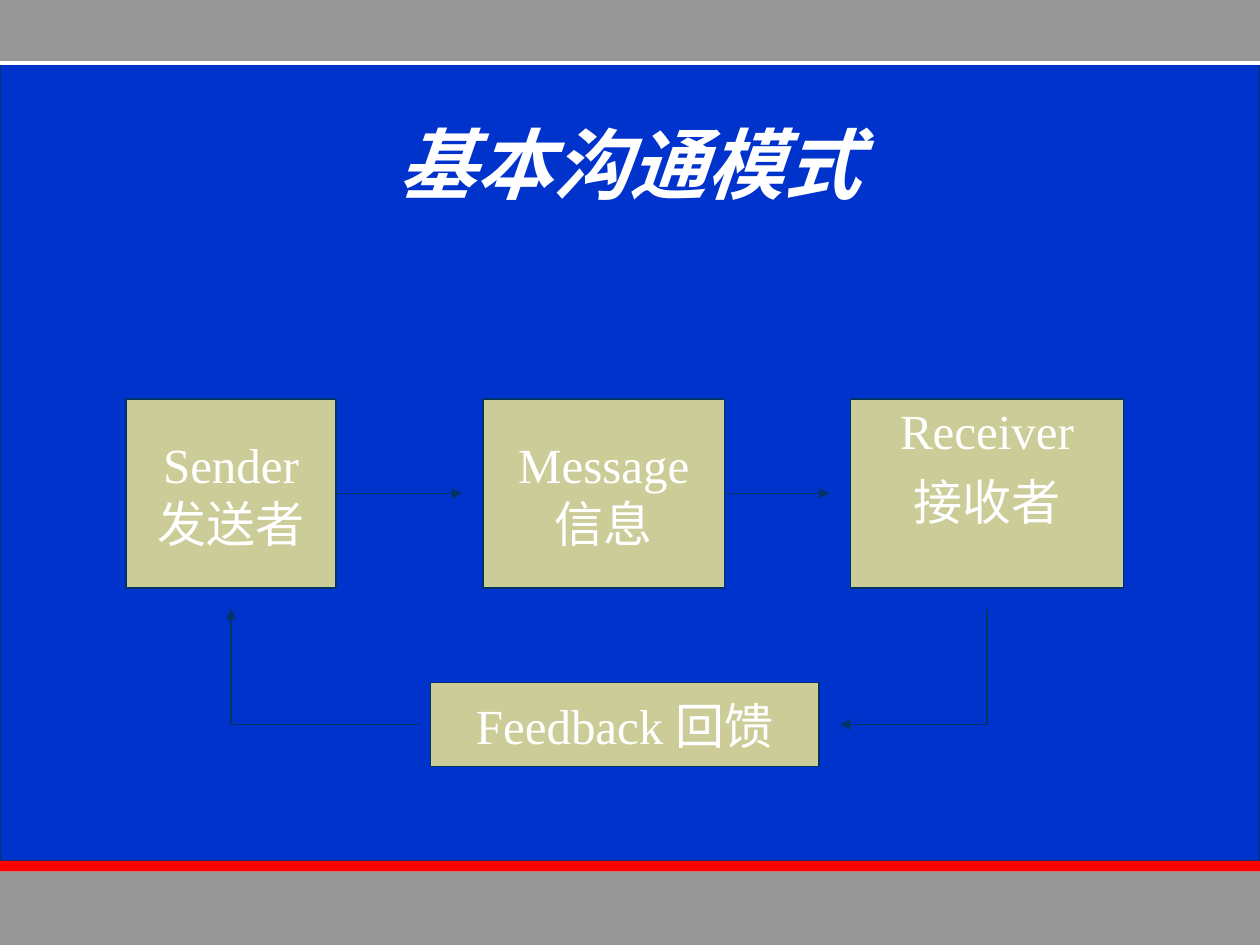
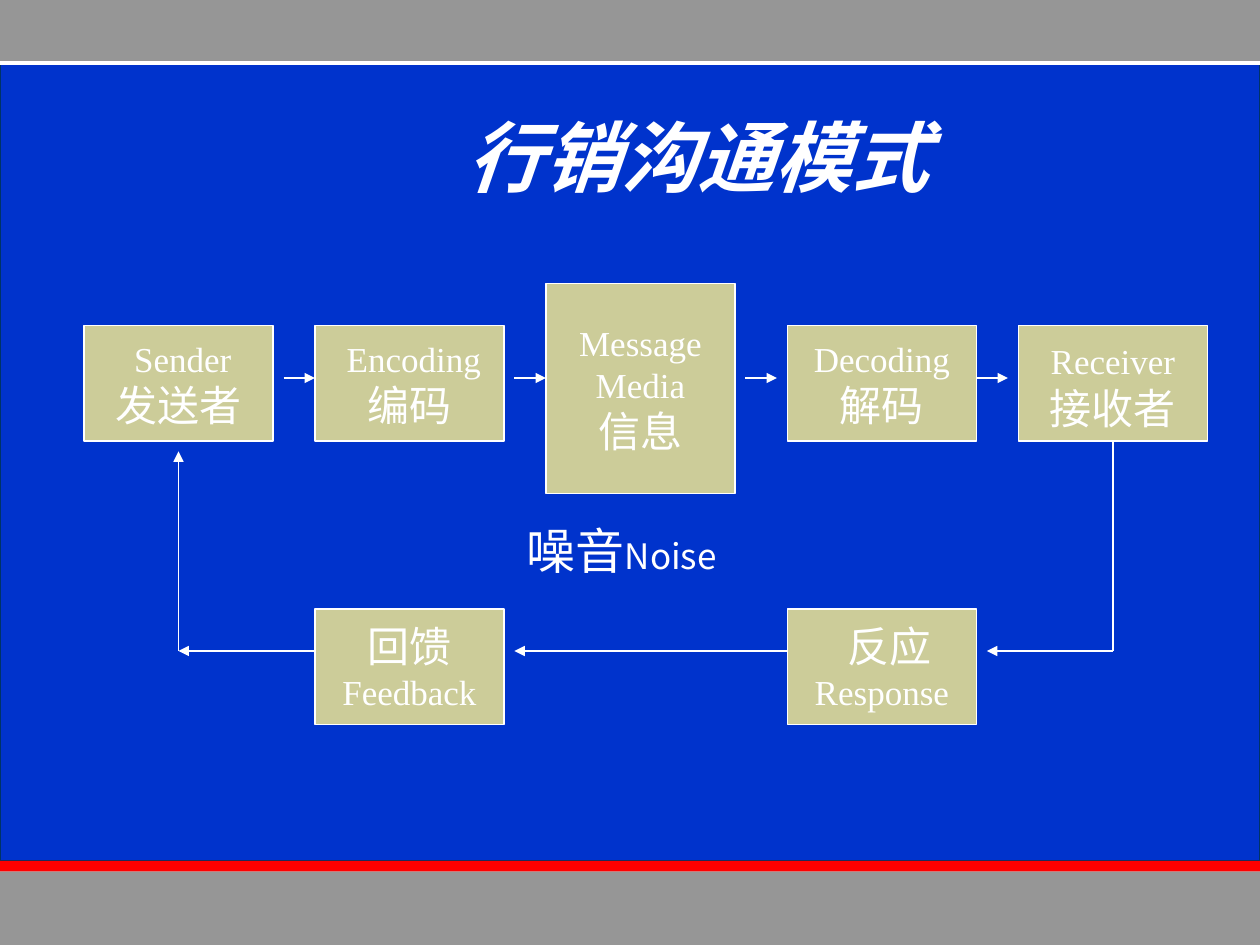
from lxml.etree import SubElement
from pptx import Presentation
from pptx.dml.color import RGBColor
from pptx.enum.shapes import MSO_CONNECTOR, MSO_SHAPE
from pptx.enum.text import MSO_ANCHOR, MSO_AUTO_SIZE, PP_ALIGN
from pptx.oxml.ns import qn
from pptx.util import Pt

WHITE, NAVY, BLUE = "FFFFFF", "003366", "0033CC"
GREY, RED, KHAKI = "969696", "FF0000", "CCCC99"
SERIF, SANS, CHINESE = "Times New Roman", "Arial", "Noto Sans CJK SC"
color = RGBColor.from_string


def add_span(para, text, size, font=SERIF, bold=False):
    span = para.add_run()
    span.text = text
    span.font.size = Pt(size)
    span.font.name = font
    span.font.bold = span.font.italic = bold
    span.font.color.rgb = color(WHITE)
    SubElement(span.font._element, qn("a:ea"), typeface=CHINESE)


def add_line(page, points, line_color, width=0.75, arrow=False):
    line = page.shapes.add_connector(MSO_CONNECTOR.STRAIGHT, *map(Pt, points))
    line.line.color.rgb = color(line_color)
    line.line.width = Pt(width)
    if arrow:
        SubElement(line.line._get_or_add_ln(), qn("a:tailEnd"), type="triangle")
    SubElement(line._element.spPr, qn("a:effectLst"))
    return line


deck = Presentation()
deck.slide_width, deck.slide_height = Pt(720), Pt(540)
layout = deck.slide_layouts[5]
pages = [deck.slides.add_slide(layout) for _ in range(2)]

# Shared bands, moved to the layout so that both slides show them
bands = []
for top, height, fill in [(36, 456, BLUE), (0, 36, GREY), (498, 42, GREY), (492, 6, RED)]:
    band = pages[0].shapes.add_shape(MSO_SHAPE.RECTANGLE, 0, Pt(top), Pt(720), Pt(height))
    band.shadow.inherit = False
    band.fill.solid()
    band.fill.fore_color.rgb = color(fill)
    if fill == BLUE:
        band.line.color.rgb = color(NAVY)
        band.line.width = Pt(0.75)
    else:
        band.line.fill.background()
    bands.append(band)
bands.append(add_line(pages[0], (0, 36, 720, 36), WHITE, 2.25))
for band in bands:
    layout.shapes._spTree.append(band._element)

# Titles: text, left, width, font, line spacing
titles = [
    ("基本沟通模式", 54, 612, SANS, 1.0),
    ("行销沟通模式", 108, 581, SERIF, 0.85),
]
for page, (text, left, width, font, spacing) in zip(pages, titles):
    title = page.shapes.title
    title.left, title.top, title.width, title.height = map(Pt, (left, 48, width, 90))
    frame = title.text_frame
    frame.auto_size = MSO_AUTO_SIZE.NONE
    frame.vertical_anchor = MSO_ANCHOR.MIDDLE
    para = frame.paragraphs[0]
    para.alignment = PP_ALIGN.CENTER
    para.line_spacing = spacing
    add_span(para, text, 44, font, bold=True)

# Boxes: place, top and bottom inset, then lines of text, size, indent, space before
basic_boxes = [
    ((72, 228, 120, 108), (3.6, 3.6), [("Sender", 28, 0, 0), ("发送者", 28, 0, 0)]),
    ((276, 228, 138, 108), (3.6, 3.6), [("Message", 28, 0, 0), ("信息", 28, 0, 0)]),
    ((486, 228, 156, 108), (3.6, 36), [("Receiver", 28, 0, 0), ("接收者", 28, 0, 7)]),
    ((246, 390, 222, 48), (3.6, 3.6), [("Feedback 回馈", 28, 0, 0)]),
]
marketing_boxes = [
    ((48, 186, 108, 66), (3.6, 3.6), [("Sender", 20, 5, 0), ("发送者", 24, 0, 0)]),
    ((180, 186, 108, 66), (3.6, 3.6), [("Encoding", 20, 5, 0), ("编码", 24, 0, 0)]),
    ((312, 162, 108, 120), (3.6, 3.6),
     [("Message", 20, 0, 0), ("Media", 20, 0, 0), ("信息", 24, 0, 0)]),
    ((450, 186, 108, 66), (3.6, 3.6), [("Decoding", 20, 0, 0), ("解码", 24, 0, 0)]),
    ((582, 186, 108, 66), (7, 3.6), [("Receiver", 20, 0, 0), ("接收者", 24, 0, 1)]),
    ((450, 348, 108, 66), (3.6, 3.6), [("反应", 24, 9, 0), ("Response", 20, 0, 0)]),
    ((180, 348, 108, 66), (3.6, 3.6), [("回馈", 24, 0, 0), ("Feedback", 20, 0, 0)]),
]

# Lines: start and end point, arrowhead
basic_lines = [
    ((192, 282, 264, 282), True),
    ((414, 282, 474, 282), True),
    ((564, 414, 480, 414), True),
    ((564, 348, 564, 414), False),
    ((240, 414, 132, 414), False),
    ((132, 414, 132, 348), True),
]
marketing_lines = [((x, 216, x + 18, 216), True) for x in (162, 294, 426, 558)] + [
    ((636, 252, 636, 372), False),
    ((636, 372, 564, 372), True),
    ((450, 372, 294, 372), True),
    ((180, 372, 102, 372), True),
    ((102, 372, 102, 258), True),
]

# Flow diagrams
diagrams = [(basic_boxes, basic_lines, NAVY), (marketing_boxes, marketing_lines, WHITE)]
for page, (boxes, lines, line_color) in zip(pages, diagrams):
    for place, insets, texts in boxes:
        box = page.shapes.add_shape(MSO_SHAPE.RECTANGLE, *map(Pt, place))
        box.shadow.inherit = False
        box.fill.solid()
        box.fill.fore_color.rgb = color(KHAKI)
        box.line.color.rgb = color(line_color)
        box.line.width = Pt(0.75)
        frame = box.text_frame
        frame.word_wrap = True
        frame.vertical_anchor = MSO_ANCHOR.MIDDLE
        frame.margin_top, frame.margin_bottom = map(Pt, insets)
        for index, (text, size, indent, space) in enumerate(texts):
            para = frame.add_paragraph() if index else frame.paragraphs[0]
            para.alignment = PP_ALIGN.CENTER
            if indent:
                para._p.get_or_add_pPr().set("marL", str(Pt(indent)))
            if space:
                para.space_before = Pt(space)
            add_span(para, text, size)
    for points, arrow in lines:
        add_line(page, points, line_color, arrow=arrow)

# Noise label in the middle of the marketing flow
noise = pages[1].shapes.add_textbox(Pt(294), Pt(294), Pt(144), Pt(41))
noise.text_frame.word_wrap = True
para = noise.text_frame.paragraphs[0]
add_span(para, "噪音", 28, CHINESE)
add_span(para, "Noise", 20, CHINESE)

deck.save("out.pptx")
